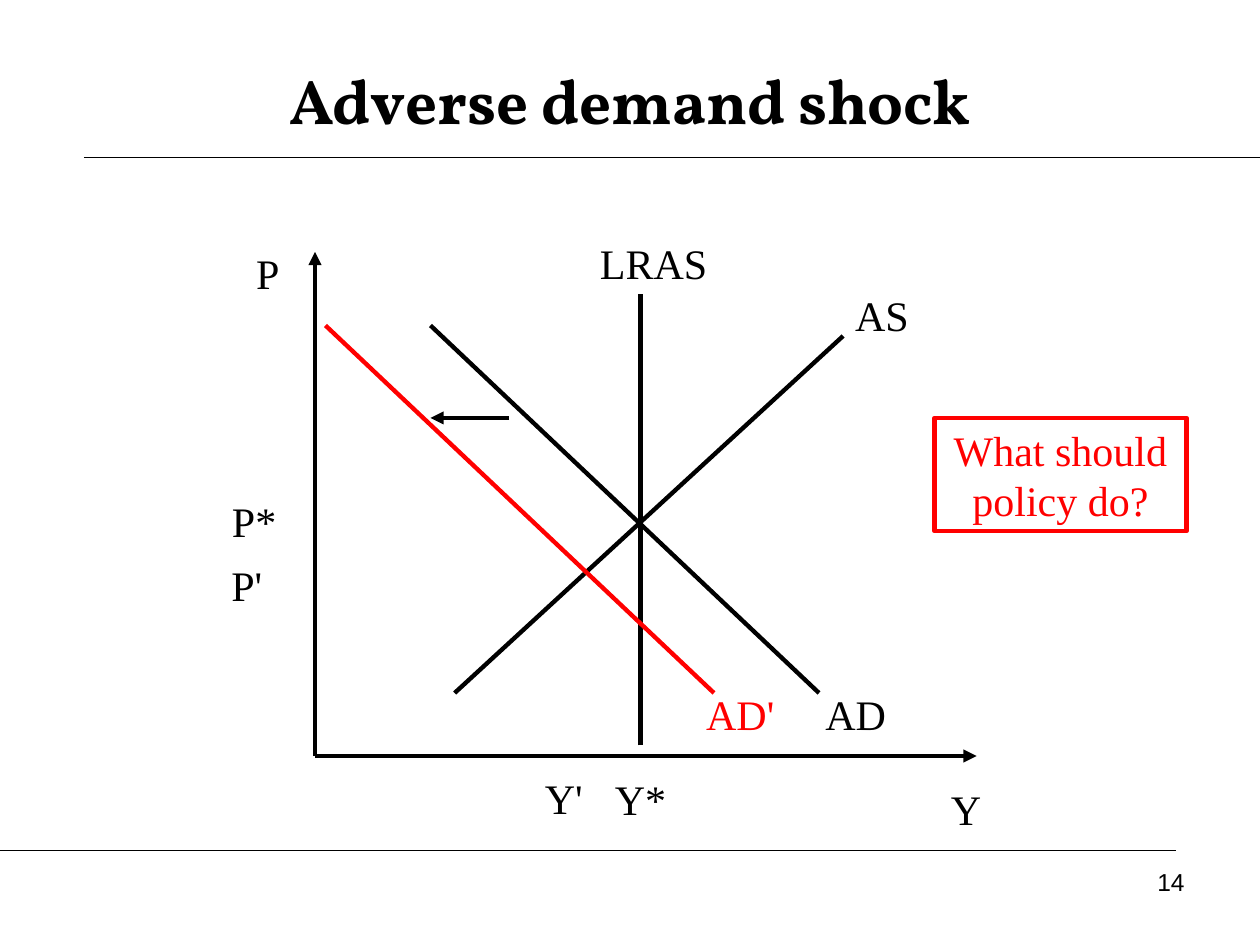
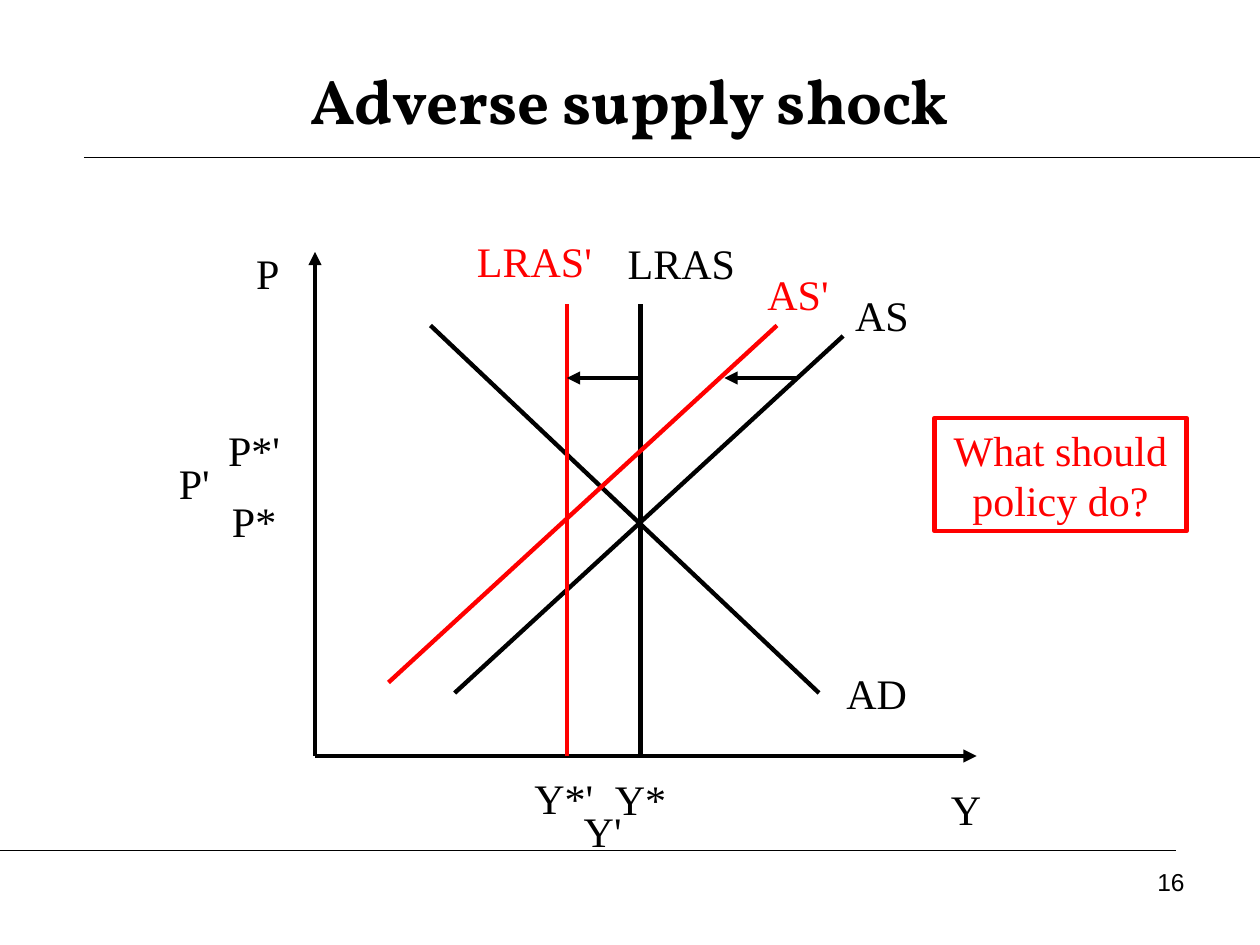
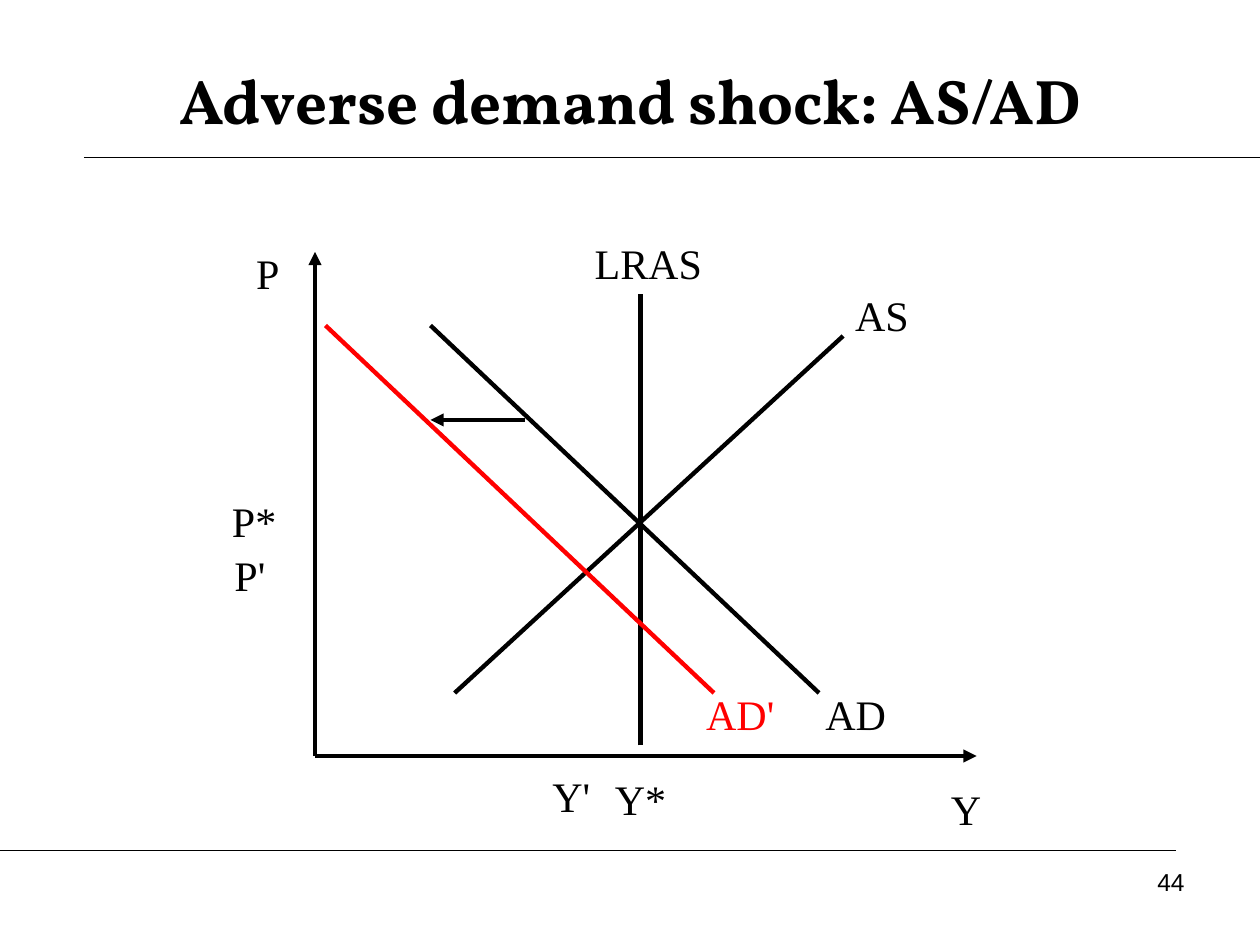
"""Builds three aggregate supply and demand diagrams on a grid of twelfths of an inch."""
from lxml import etree
from pptx import Presentation
from pptx.dml.color import RGBColor
from pptx.enum.shapes import MSO_CONNECTOR, MSO_SHAPE
from pptx.enum.text import MSO_ANCHOR, PP_ALIGN
from pptx.oxml.ns import qn
from pptx.util import Inches, Pt

STRAIGHT, RECTANGLE = MSO_CONNECTOR.STRAIGHT, MSO_SHAPE.RECTANGLE
TOP, MIDDLE = MSO_ANCHOR.TOP, MSO_ANCHOR.MIDDLE
CENTER, RIGHT = PP_ALIGN.CENTER, PP_ALIGN.RIGHT
BLACK = RGBColor(0x00, 0x00, 0x00)
RED = RGBColor(0xFF, 0x00, 0x00)
TITLE_FONT, LABEL_FONT, NUMBER_FONT = "Vollkorn", "Times New Roman", "Arial"

CELL = Inches(1 / 12)
COLUMNS, ROWS = 120, 90
LABEL_ROWS = 6
CURVE_WEIGHT, RULE_WEIGHT = 2.5, 0.75


def draw_line(slide, ends, color=BLACK, weight=CURVE_WEIGHT, arrow=False):
    line = slide.shapes.add_connector(STRAIGHT, *(round(end * CELL) for end in ends))
    line.line.color.rgb = color
    line.line.width = Pt(weight)
    if arrow:
        etree.SubElement(line.line._get_or_add_ln(), qn("a:tailEnd"), type="triangle")
    etree.SubElement(line._element.spPr, qn("a:effectLst"))


def write(slide, text, box, color=BLACK, size=24, font=LABEL_FONT, align=CENTER,
          anchor=TOP, bold=False, framed=False):
    area = [round(length * CELL) for length in box]
    if framed:
        holder = slide.shapes.add_shape(RECTANGLE, *area)
        holder.shadow.inherit = False
        holder.fill.background()
        holder.line.color.rgb = color
        holder.line.width = Pt(CURVE_WEIGHT)
    else:
        holder = slide.shapes.add_textbox(*area)
    frame = holder.text_frame
    frame.text = text
    frame.word_wrap = True
    frame.vertical_anchor = anchor
    paragraph = frame.paragraphs[0]
    paragraph.alignment = align
    letters = paragraph.runs[0].font
    letters.name, letters.size, letters.bold = font, Pt(size), bold
    letters.color.rgb = color


RULES = [(8, 15, COLUMNS, 15), (0, 81, 112, 81)]
AXES = [(30, 72, 93, 72), (30, 72, 30, 24)]
SUPPLY, DEMAND = (43.3, 66, 80.3, 32), (78, 66, 41, 31)
LOWER_DEMAND = (68, 66, 31, 31)
LONG_RUN_SUPPLY = (61, 71, 61, 28)
TITLE_BOX = (6, 4, 108, 11)
NUMBER_BOX = (86, 82, 28, 6.2)
QUESTION_BOX = (89, 39.8, 24, 10.8)

SHARED_LABELS = [("Y", 88, 74, 8), ("P", 22, 23, 7), ("AS", 80, 27, 8),
                 ("Y*", 57, 73.1, 8), ("P*", 20.2, 46.6, 8)]
DEMAND_LABELS = [("AD", 76, 65, 11), ("AD'", 65, 65, 11, RED)]

DIAGRAMS = [
    {"title": "Adverse demand shock", "number": "14", "question": True,
     "curves": [(LONG_RUN_SUPPLY, BLACK), (LOWER_DEMAND, RED)],
     "shifts": [(48.5, 39.8, 41, 39.8)],
     "labels": DEMAND_LABELS + [("LRAS", 54, 22, 16.5), ("Y'", 48.2, 73, 11),
                                ("P'", 18, 52.7, 11)]},
    {"title": "Adverse supply shock", "number": "16", "question": True,
     "curves": [((61, 72, 61, 29), BLACK), ((54, 72, 54, 29), RED),
                ((37, 65, 74, 31), RED)],
     "shifts": [(61, 36, 54, 36), (76, 36, 69, 36)],
     "labels": [("AD", 78, 63, 11), ("LRAS", 58.2, 22, 13.4),
                ("AS'", 71, 25, 10, RED), ("LRAS'", 43.9, 21.8, 14, RED),
                ("Y*'", 48.2, 73, 11), ("P'", 13, 43, 11),
                ("P*'", 18.7, 39.8, 11), ("Y'", 53.9, 76.1, 7)]},
    {"title": "Adverse demand shock: AS/AD", "number": "44", "question": False,
     "curves": [(LONG_RUN_SUPPLY, BLACK), (LOWER_DEMAND, RED)],
     "shifts": [(50, 40, 41, 40)],
     "labels": DEMAND_LABELS + [("LRAS", 53, 22, 17.5), ("Y'", 50.4, 72.8, 8),
                                ("P'", 19.8, 51.7, 8)]},
]

deck = Presentation()
deck.slide_width, deck.slide_height = COLUMNS * CELL, ROWS * CELL
blank = deck.slide_layouts[6]

for diagram in DIAGRAMS:
    slide = deck.slides.add_slide(blank)
    for rule in RULES:
        draw_line(slide, rule, weight=RULE_WEIGHT)
    write(slide, diagram["title"], TITLE_BOX, size=36, font=TITLE_FONT,
          anchor=MIDDLE, bold=True)
    for axis in AXES:
        draw_line(slide, axis, arrow=True)
    for curve, color in [(SUPPLY, BLACK), (DEMAND, BLACK)] + diagram["curves"]:
        draw_line(slide, curve, color)
    for shift in diagram["shifts"]:
        draw_line(slide, shift, arrow=True)
    for text, left, top, width, *color in SHARED_LABELS + diagram["labels"]:
        write(slide, text, (left, top, width, LABEL_ROWS), *color)
    if diagram["question"]:
        write(slide, "What should policy do?", QUESTION_BOX, RED, framed=True)
    write(slide, diagram["number"], NUMBER_BOX, size=14, font=NUMBER_FONT, align=RIGHT)

deck.save("out.pptx")
